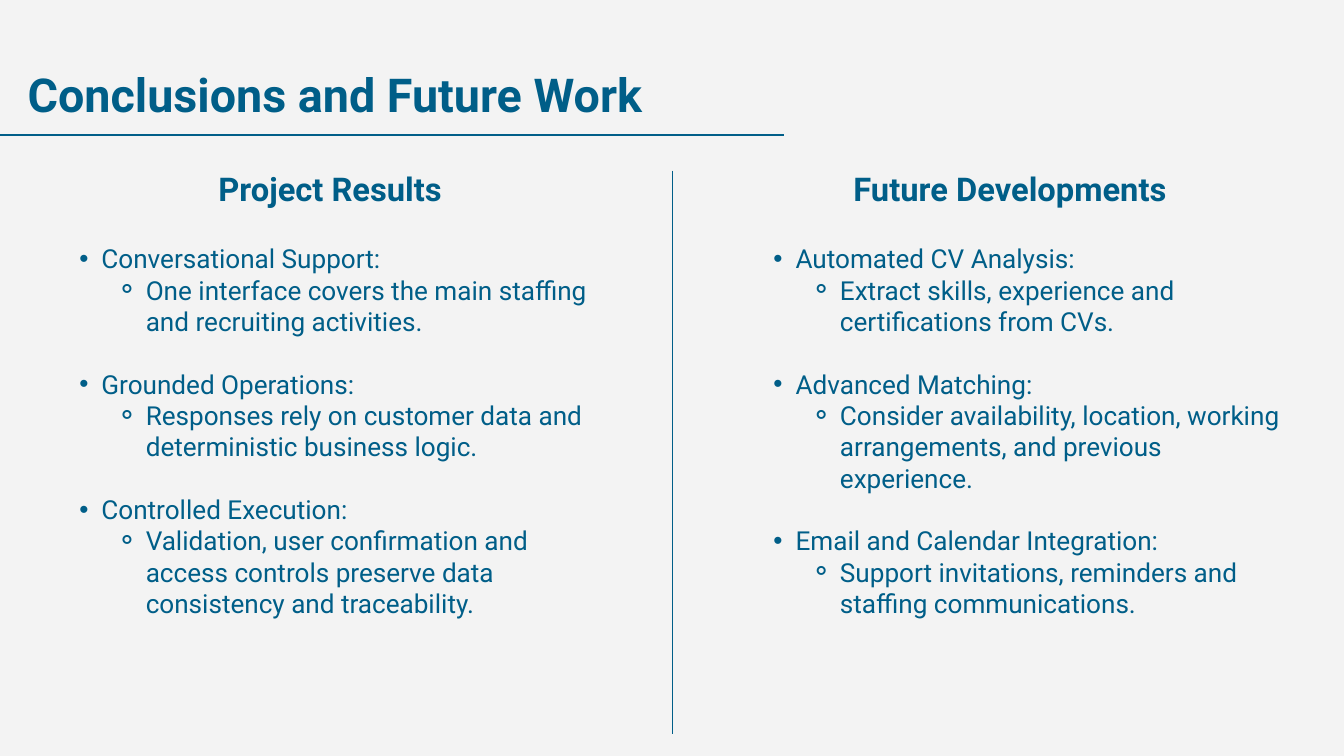
from lxml.etree import SubElement
from pptx import Presentation
from pptx.dml.color import RGBColor
from pptx.enum.shapes import MSO_CONNECTOR as Conn
from pptx.enum.text import MSO_AUTO_SIZE as Fit
from pptx.oxml.ns import qn
from pptx.util import Emu, Pt

PX = 9144  # 100 px to the inch
COLORS = {"back": "F3F3F3", "ink": "005E88"}
FONT = "Roboto"
BODY_SIZE, BODY_LEAD = 28, 33.6
# level: (mark, left margin px, hanging indent px)
BULLETS = {1: ("•", 66, 33), 2: ("⚬", 132, 44)}

RESULTS = [
    ("Conversational Support:",
     "One interface covers the main staffing and recruiting activities."),
    ("Grounded Operations:",
     "Responses rely on customer data and deterministic business logic."),
    ("Controlled Execution:",
     "Validation, user confirmation and access controls preserve data "
     "consistency and traceability."),
]
FUTURE = [
    ("Automated CV Analysis:",
     "Extract skills, experience and certifications from CVs."),
    ("Advanced Matching:",
     "Consider availability, location, working arrangements, and previous "
     "experience."),
    ("Email and Calendar Integration:",
     "Support invitations, reminders and staffing communications."),
]


def px(n):
    return Emu(n * PX)


def color(name):
    return RGBColor.from_string(COLORS[name])


def add_rule(slide, x1, y1, x2, y2):
    rule = slide.shapes.add_connector(
        Conn.STRAIGHT, px(x1), px(y1), px(x2), px(y2))
    rule.line.color.rgb = color("ink")
    rule.line.width = Pt(1.5)
    SubElement(rule._element.spPr, qn("a:effectLst"))


def add_frame(slide, x, y, w, h):
    """Add a wrapping text box without margins and return its text frame."""
    frame = slide.shapes.add_textbox(px(x), px(y), px(w), px(h)).text_frame
    frame.word_wrap = True
    frame.auto_size = Fit.SHAPE_TO_FIT_TEXT
    frame.margin_left = frame.margin_right = 0
    frame.margin_top = frame.margin_bottom = 0
    return frame


def style(para, size, lead, bold=False):
    para.line_spacing = Pt(lead)
    for run in para.runs:
        font = run.font
        font.name, font.size, font.bold = FONT, Pt(size), bold
        font.color.rgb = color("ink")


def add_head(slide, text, box, size):
    frame = add_frame(slide, *box)
    frame.text = text
    style(frame.paragraphs[0], size, size * 1.2, bold=True)


def set_bullet(para, level):
    mark, left, hang = BULLETS[level]
    para.level = level
    props = para._p.get_or_add_pPr()
    props.set("marL", str(px(left)))
    props.set("indent", str(px(-hang)))
    SubElement(props, qn("a:buFont"), typeface="Arial")
    SubElement(props, qn("a:buChar"), char=mark)


def add_list(slide, topics, box):
    frame = add_frame(slide, *box)
    for i, topic in enumerate(topics):
        for level, text in enumerate(topic, 1):
            first = i == 0 and level == 1
            para = frame.paragraphs[0] if first else frame.add_paragraph()
            para.text = text
            set_bullet(para, level)
            style(para, BODY_SIZE, BODY_LEAD)
            if level == 1 and not first:
                para.space_before = Pt(BODY_LEAD)


def main():
    deck = Presentation()
    deck.slide_width, deck.slide_height = px(2000), px(1125)
    slide = deck.slides.add_slide(deck.slide_layouts[6])
    fill = slide.background.fill
    fill.solid()
    fill.fore_color.rgb = color("back")

    add_rule(slide, 0, 201, 1167, 201)
    add_head(slide, "Conclusions and Future Work", (41, 98, 925, 84), 50)
    add_rule(slide, 1001, 254, 1001, 1093)
    add_head(slide, "Project Results", (325, 252, 350, 60), 35)
    add_head(slide, "Future Developments", (1270, 252, 473, 60), 35)
    add_list(slide, RESULTS, (85, 361, 830, 552))
    add_list(slide, FUTURE, (1118, 361, 804, 552))
    deck.save("out.pptx")


if __name__ == "__main__":
    main()
